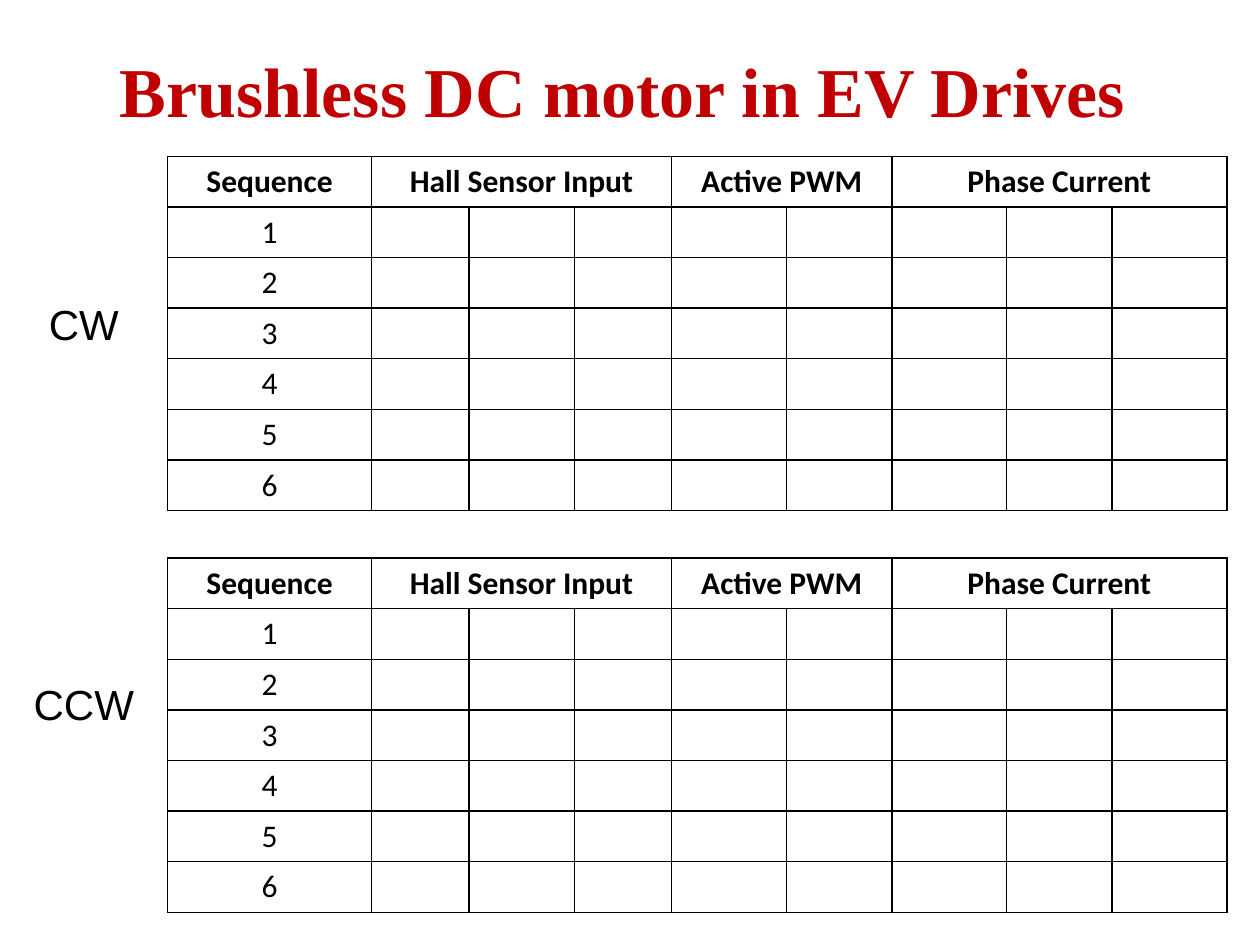
from dataclasses import dataclass

from lxml.etree import SubElement
from pptx import Presentation
from pptx.dml.color import RGBColor
from pptx.enum.text import MSO_ANCHOR, MSO_AUTO_SIZE, PP_ALIGN
from pptx.oxml import parse_xml
from pptx.oxml.ns import nsdecls, qn
from pptx.util import Cm, Pt


@dataclass(frozen=True)
class Theme:
    title_color: str = "C00000"
    ink: str = "000000"
    title_font: str = "Times New Roman"
    label_font: str = "Arial"
    table_font: str = "Calibri"
    title_size: int = 40
    label_size: int = 24
    table_size: int = 18
    border: int = 1


THEME = Theme()

HEADINGS = [("Sequence", 1), ("Hall Sensor Input", 3),
            ("Active PWM", 2), ("Phase Current", 3)]
COLUMN_WIDTHS = [4.11, 1.96, 2.13, 1.96, 2.31, 2.13, 2.31, 2.13, 2.31]
STEPS = 6
ROW_HEIGHT = 1.02
LABEL_WIDTH = 3.38
LABEL_HEIGHT = 1.27


def write(frame, text, font_name, size, color, bold=False):
    """Put one centred, formatted line into a text frame."""
    frame.text = text
    line = frame.paragraphs[0]
    line.alignment = PP_ALIGN.CENTER
    font = line.font if not line.runs else line.runs[0].font
    font.name, font.size, font.bold = font_name, Pt(size), bold
    font.color.rgb = RGBColor.from_string(color)


def outline(cell):
    """Clear the cell's fill and rule all four sides."""
    cell.fill.background()
    properties = cell._tc.get_or_add_tcPr()
    for position, side in enumerate(("lnL", "lnR", "lnT", "lnB")):
        rule = parse_xml(f'<a:{side} {nsdecls("a")} w="{Pt(THEME.border)}"/>')
        fill = SubElement(rule, qn("a:solidFill"))
        SubElement(fill, qn("a:srgbClr"), val=THEME.ink)
        properties.insert(position, rule)


def add_title(slide, left, top, width, height):
    title = slide.shapes.title
    title.left, title.top = Cm(left), Cm(top)
    title.width, title.height = Cm(width), Cm(height)
    frame = title.text_frame
    write(frame, "Brushless DC motor in EV Drives", THEME.title_font,
          THEME.title_size, THEME.title_color, bold=True)
    frame.auto_size = MSO_AUTO_SIZE.NONE
    frame.vertical_anchor = MSO_ANCHOR.MIDDLE


def add_direction_label(slide, direction, left, top):
    label = slide.shapes.add_textbox(Cm(left), Cm(top), Cm(LABEL_WIDTH), Cm(LABEL_HEIGHT))
    label.text_frame.word_wrap = True
    write(label.text_frame, direction, THEME.label_font, THEME.label_size, THEME.ink)


def add_sequence_table(slide, left, top):
    rows = STEPS + 1
    table = slide.shapes.add_table(
        rows, len(COLUMN_WIDTHS), Cm(left), Cm(top),
        Cm(sum(COLUMN_WIDTHS)), Cm(rows * ROW_HEIGHT)).table
    table.first_row = table.horz_banding = False
    for column, width in zip(table.columns, COLUMN_WIDTHS):
        column.width = Cm(width)
    for row in table.rows:
        row.height = Cm(ROW_HEIGHT)

    texts = {(step, 0): str(step) for step in range(1, rows)}
    first = 0
    for heading, span in HEADINGS:
        texts[0, first] = heading
        if span > 1:
            table.cell(0, first).merge(table.cell(0, first + span - 1))
        first += span

    for r in range(rows):
        for c in range(len(COLUMN_WIDTHS)):
            cell = table.cell(r, c)
            outline(cell)
            write(cell.text_frame, texts.get((r, c), ""), THEME.table_font,
                  THEME.table_size, THEME.ink, bold=r == 0)


def add_direction_block(slide, direction, left, top, label_drop):
    """Place a sequence table with its rotation direction at its left."""
    add_direction_label(slide, direction, left, top + label_drop)
    add_sequence_table(slide, left + LABEL_WIDTH, top)


def main():
    deck = Presentation()
    deck.slide_width, deck.slide_height = Cm(25.4), Cm(19.05)
    slide = deck.slides.add_slide(deck.slide_layouts.get_by_name("Title Only"))
    add_title(slide, left=0, top=0.46, width=25.1, height=2.69)
    add_direction_block(slide, "CW", left=0, top=3.15, label_drop=2.74)
    add_direction_block(slide, "CCW", left=0, top=11.25, label_drop=2.31)
    deck.save("out.pptx")


if __name__ == "__main__":
    main()
